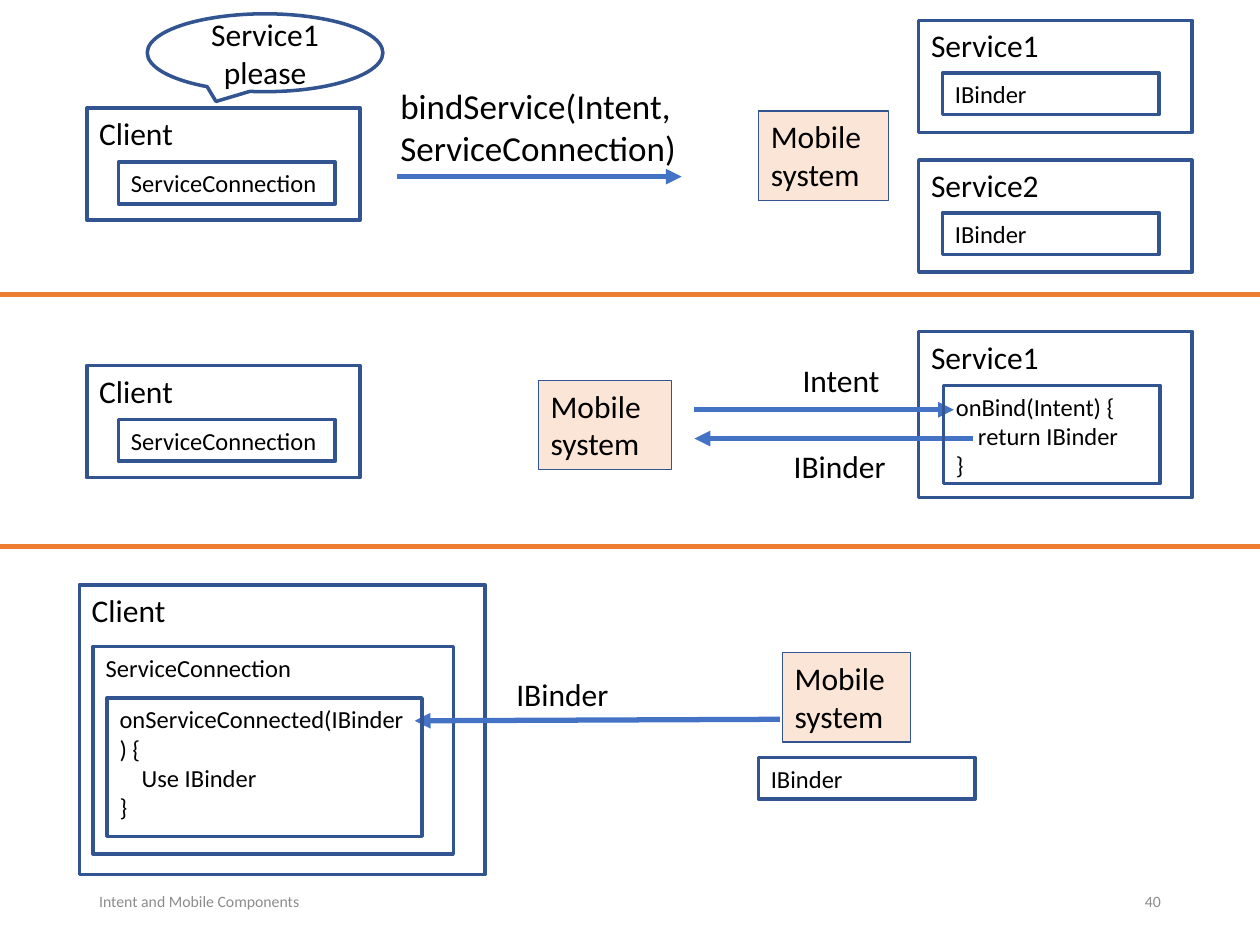
from dataclasses import dataclass

from lxml import etree
from pptx import Presentation
from pptx import util as u
from pptx.dml.color import RGBColor
from pptx.enum import shapes, text
from pptx.oxml.ns import qn


@dataclass(frozen=True)
class Theme:
    font: str = "Calibri"
    ink: str = "000000"
    muted: str = "8C8C8C"
    outline: str = "325491"
    system_fill: str = "FBE5D6"
    arrow: str = "4472C4"
    divider: str = "ED7D31"
    call_size: float = 20
    name_size: float = 18
    detail_size: float = 14
    footer_size: float = 9


THEME = Theme()
SMALL_BOX = (4.37, 0.84)
LARGE_BOX = (5.51, 2.26)


def write(shape, content, *, size, color=THEME.ink, align=text.PP_ALIGN.LEFT,
          anchor=text.MSO_ANCHOR.TOP, wrap=True):
    """Fill a shape with text, one paragraph per line."""
    frame = shape.text_frame
    frame.word_wrap = wrap
    frame.vertical_anchor = anchor
    frame.text = content
    for paragraph in frame.paragraphs:
        paragraph.alignment = align
        paragraph.font.name = THEME.font
        paragraph.font.size = u.Pt(size)
        paragraph.font.color.rgb = RGBColor.from_string(color)


class DiagramSlide:
    """Holds the style and the current slide; all lengths are centimetres."""

    def __init__(self, slide, theme):
        self.slide = slide
        self.theme = theme

    def box(self, content, left, top, width, height, size=None, fill=None,
            line_width=2, kind=shapes.MSO_SHAPE.RECTANGLE, **text_format):
        shape = self.slide.shapes.add_shape(
            kind, u.Cm(left), u.Cm(top), u.Cm(width), u.Cm(height))
        shape.shadow.inherit = False
        if fill:
            shape.fill.solid()
            shape.fill.fore_color.rgb = RGBColor.from_string(fill)
        else:
            shape.fill.background()
        shape.line.color.rgb = RGBColor.from_string(self.theme.outline)
        shape.line.width = u.Pt(line_width)
        write(shape, content, size=size or self.theme.name_size, **text_format)

    def detail(self, content, left, top, width=SMALL_BOX[0], height=SMALL_BOX[1]):
        self.box(content, left, top, width, height, self.theme.detail_size)

    def client(self, left, top):
        self.box("Client", left, top, *LARGE_BOX)
        self.detail("ServiceConnection", left + 0.64, top + 1.09)

    def service(self, name, left, top):
        self.box(name, left, top, *LARGE_BOX)
        self.detail("IBinder", left + 0.48, top + 1.06)

    def system(self, left, top, width):
        self.box("Mobile system", left, top, width, 1.8,
                 fill=self.theme.system_fill, line_width=0.75)

    def label(self, content, left, top, width, height=1.02, size=None, **text_format):
        shape = self.slide.shapes.add_textbox(
            u.Cm(left), u.Cm(top), u.Cm(width), u.Cm(height))
        write(shape, content, size=size or self.theme.name_size, **text_format)

    def line(self, start, end, color):
        connector = self.slide.shapes.add_connector(
            shapes.MSO_CONNECTOR.STRAIGHT, *(u.Cm(value) for value in (*start, *end)))
        connector.line.color.rgb = RGBColor.from_string(color)
        connector.line.width = u.Pt(3)
        etree.SubElement(connector.element.spPr, qn("a:effectLst"))
        return connector

    def arrow(self, start, end):
        connector = self.line(start, end, self.theme.arrow)
        outline = connector.line._get_or_add_ln()
        etree.SubElement(outline, qn("a:tailEnd"), type="triangle")

    def divider(self, top):
        self.line((0, top), (25.4, top), self.theme.divider)

    def footer(self, content, left, align):
        self.label(content, left, 17.65, 5.72, size=self.theme.footer_size,
                   color=self.theme.muted, align=align, anchor=text.MSO_ANCHOR.MIDDLE)


def main():
    presentation = Presentation()
    presentation.slide_width = u.Cm(25.4)
    presentation.slide_height = u.Cm(19.05)
    slide = presentation.slides.add_slide(presentation.slide_layouts[6])
    diagram = DiagramSlide(slide, THEME)

    # Step 1: the client asks to bind
    diagram.client(1.75, 2.18)
    diagram.service("Service1", 18.52, 0.41)
    diagram.system(15.29, 2.24, 2.62)
    diagram.service("Service2", 18.52, 3.23)
    diagram.box("Service1 please", 2.97, 0.28, 4.75, 1.57,
                kind=shapes.MSO_SHAPE.OVAL_CALLOUT,
                align=text.PP_ALIGN.CENTER, anchor=text.MSO_ANCHOR.MIDDLE)
    diagram.arrow((8, 3.56), (13.74, 3.56))
    diagram.label("bindService(Intent, ServiceConnection)", 7.82, 1.57, 6.17, 1.96,
                  size=THEME.call_size)
    diagram.divider(5.94)

    # Step 2: the system calls the service
    diagram.client(1.75, 7.37)
    diagram.system(10.85, 7.67, 2.69)
    diagram.box("Service1", 18.52, 6.68, 5.51, 3.35)
    diagram.arrow((14, 8.26), (19.23, 8.26))
    diagram.arrow((19.61, 8.84), (14, 8.84))
    diagram.detail("onBind(Intent) {\n    return IBinder\n}", 19.02, 7.77, height=1.98)
    diagram.label("Intent", 15.93, 7.16, 2.08, wrap=False)
    diagram.label("IBinder", 15.75, 8.89, 2.39, wrap=False)
    diagram.divider(11.02)

    # Step 3: the system hands the binder to the client
    diagram.box("Client", 1.6, 11.79, 8.18, 5.84)
    diagram.detail("ServiceConnection", 1.88, 13.03, 7.26, 4.19)
    diagram.system(15.77, 13.16, 2.59)
    diagram.arrow((15.72, 14.5), (8.36, 14.53))
    diagram.detail("IBinder", 15.29, 15.27)
    diagram.label("IBinder", 10.16, 13.49, 2.39, wrap=False)
    diagram.detail("onServiceConnected(IBinder) {\n    Use IBinder\n}",
                   2.16, 14.07, 6.35, 2.79)

    # Footer
    diagram.footer("Intent and Mobile Components", 1.75, text.PP_ALIGN.LEFT)
    diagram.footer("40", 17.93, text.PP_ALIGN.RIGHT)

    presentation.save("out.pptx")


if __name__ == "__main__":
    main()
